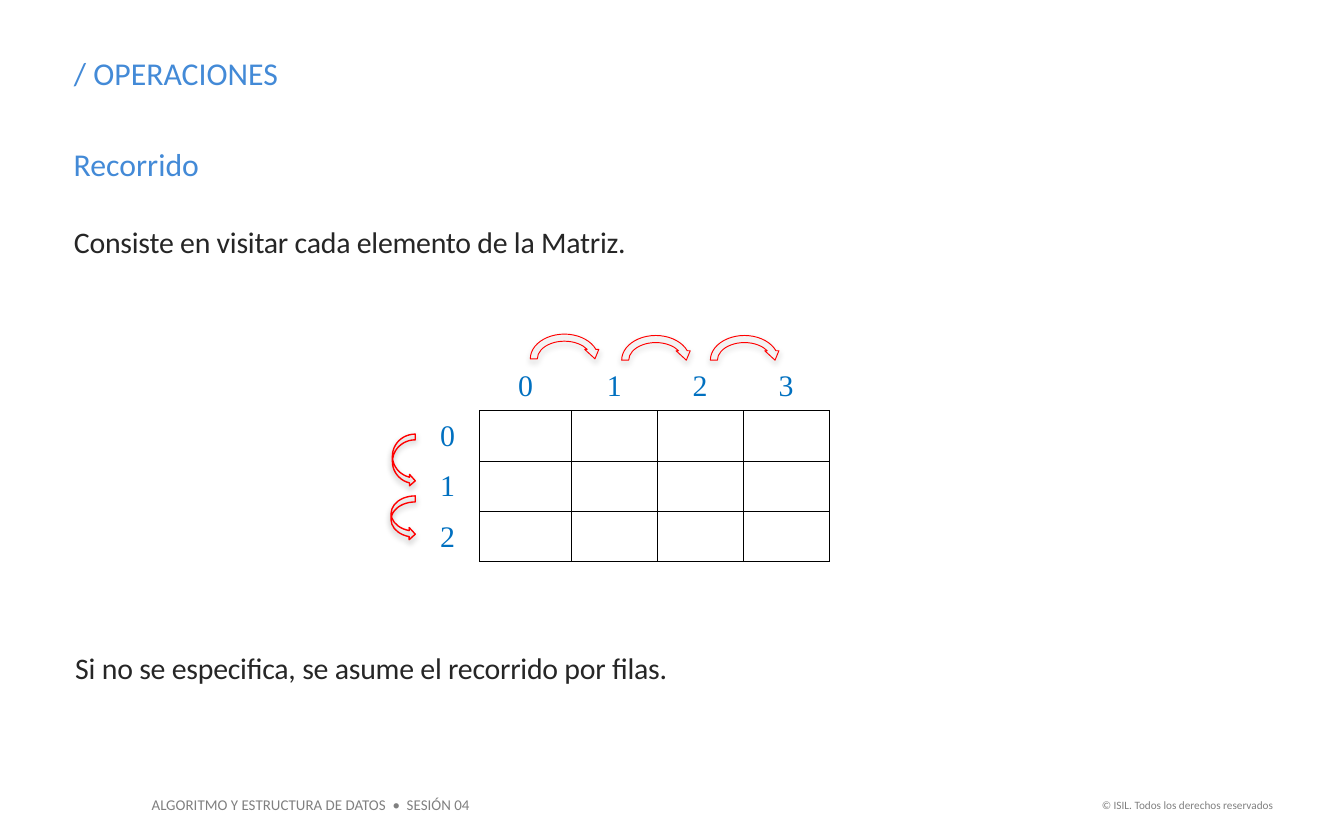
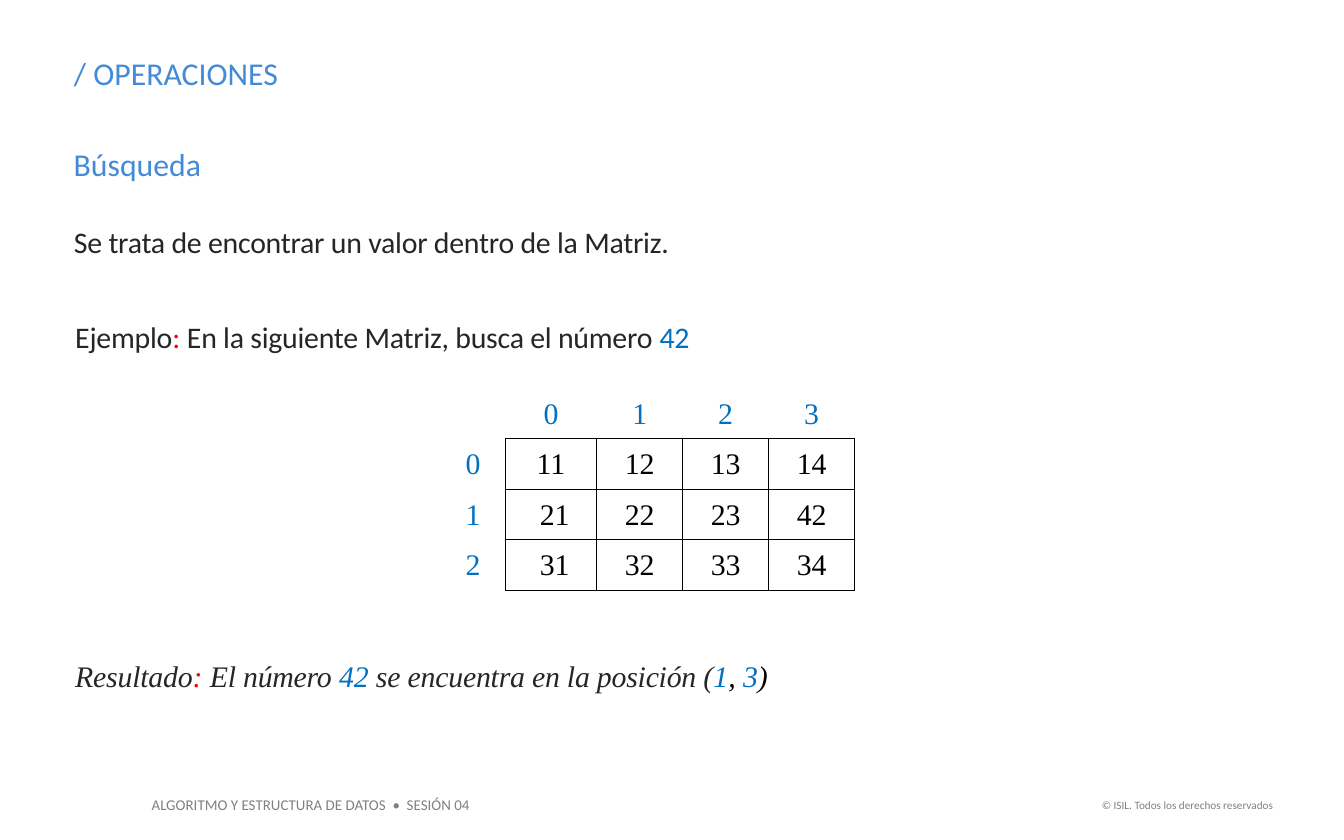
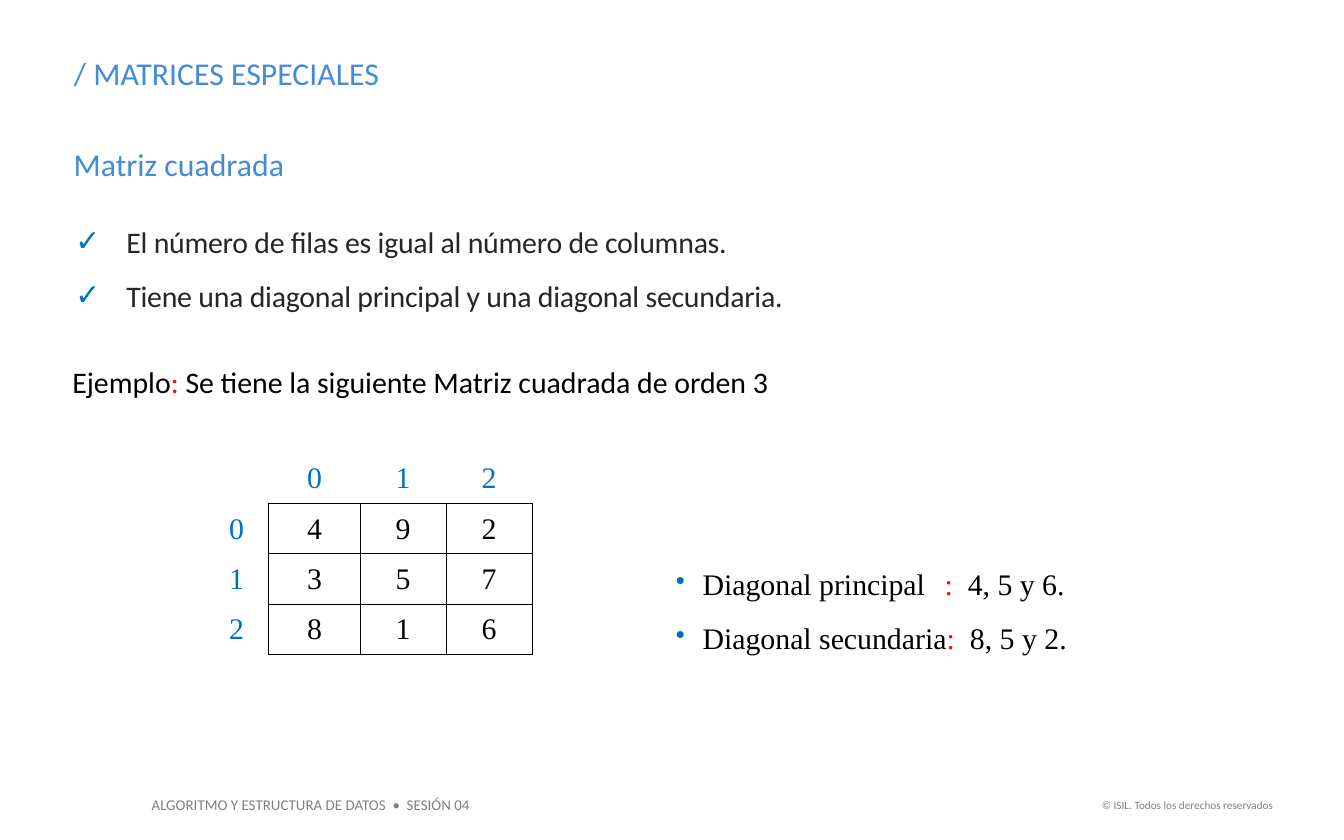
from dataclasses import dataclass

from lxml.etree import SubElement
from pptx import Presentation
from pptx.dml.color import RGBColor
from pptx.enum.shapes import MSO_SHAPE as Preset
from pptx.enum.text import MSO_ANCHOR as Anchor, MSO_AUTO_SIZE as AutoSize, PP_ALIGN as Align
from pptx.oxml import parse_xml
from pptx.oxml.ns import nsdecls, qn
from pptx.util import Inches, Pt


@dataclass(frozen=True)
class Theme:
    """Colours, fonts and type sizes of the lesson."""
    heading: str = "438AD7"
    text: str = "262626"
    black: str = "000000"
    index: str = "0070C0"
    accent: str = "FF0000"
    footer: str = "808080"
    sans: str = "Calibri"
    serif: str = "Times New Roman"
    heading_size: float = 17
    text_size: float = 16
    session_size: float = 8
    rights_size: float = 6
    grid_width: float = 0.5


THEME = Theme()
DEFAULT_INSETS = (0.1, 0.05, 0.1, 0.05)
NO_INSETS = (0, 0, 0, 0)
CELL_INSETS = (0.01, 0.01, 0.01, 0)


def bullet_xml(paragraph, char, percent):
    """Give a paragraph a coloured bullet, or none."""
    props = paragraph._p.get_or_add_pPr()
    if not char:
        SubElement(props, qn("a:buNone"))
        return
    colour = SubElement(props, qn("a:buClr"))
    SubElement(colour, qn("a:srgbClr"), val=THEME.index)
    SubElement(props, qn("a:buSzPct"), val=str(percent * 1000))
    SubElement(props, qn("a:buChar"), char=char)


def write(frame, *paragraphs, size=THEME.text_size, font=THEME.sans, color=THEME.text,
          italic=False, align=Align.LEFT, line_spacing=1.0, spacing=0,
          bullet=None, bullet_percent=100, margin=0, indent=0):
    """Fill a text frame; a paragraph is a string or a list of (text, colour) runs."""
    for number, content in enumerate(paragraphs):
        paragraph = frame.add_paragraph() if number else frame.paragraphs[0]
        bullet_xml(paragraph, bullet, bullet_percent)
        props = paragraph._p.get_or_add_pPr()
        props.set("marL", str(Inches(margin)))
        props.set("indent", str(Inches(indent)))
        paragraph.alignment = align
        paragraph.line_spacing = line_spacing
        paragraph.space_before = Pt(0)
        runs = [(content, color)] if isinstance(content, str) else content
        for text, run_color in runs:
            run = paragraph.add_run()
            run.text = text
            run.font.size = Pt(size)
            run.font.name = font
            run.font.italic = italic
            run.font.color.rgb = RGBColor.from_string(run_color)
            if spacing:
                run._r.get_or_add_rPr().set("spc", str(round(spacing * 100)))


class Lesson:
    """Holds the presentation, its style and the current slide."""

    def __init__(self, theme):
        self.theme = theme
        self.prs = Presentation()
        self.prs.slide_width, self.prs.slide_height = Inches(10), Inches(6.25)
        self.slide = None

    def start(self, title, topic):
        """Add a slide with its title and topic."""
        t = self.theme
        first = self.slide is None
        self.slide = self.prs.slides.add_slide(self.prs.slide_layouts[1])
        if first:
            self.footers()
        heading = dict(size=t.heading_size, color=t.heading)
        self.place(self.slide.shapes.title, (0.45, 0.35, 7.88, 0.39))
        write(self.slide.shapes.title.text_frame, title, **heading)
        self.text((0.45, 1.03, 2.13, 0.39), topic, **heading)

    def footers(self):
        """Put the session and rights lines on the slide master."""
        t = self.theme
        session = self.text((1.03, 5.87, 2.58, 0.24),
                            "ALGORITMO Y ESTRUCTURA DE DATOS  •  SESIÓN 04",
                            wrap=False, size=t.session_size, color=t.footer)
        rights = self.text((8.07, 5.89, 1.5, 0.2), "© ISIL. Todos los derechos reservados",
                           wrap=False, size=t.rights_size, color=t.footer, align=Align.RIGHT)
        for number, line in enumerate((session, rights), start=101):
            line.element.nvSpPr.cNvPr.set("id", str(number))
            self.prs.slide_master.shapes.element.append(line.element)

    def place(self, shape, at, insets=DEFAULT_INSETS, wrap=True):
        """Position a text shape and set up its frame."""
        shape.left, shape.top, shape.width, shape.height = map(Inches, at)
        frame = shape.text_frame
        frame.word_wrap = wrap
        frame.auto_size = AutoSize.SHAPE_TO_FIT_TEXT
        frame.vertical_anchor = Anchor.TOP
        (frame.margin_left, frame.margin_top,
         frame.margin_right, frame.margin_bottom) = map(Inches, insets)

    def text(self, at, *paragraphs, insets=DEFAULT_INSETS, wrap=True, **style):
        box = self.slide.shapes.add_textbox(*map(Inches, at))
        self.place(box, at, insets, wrap)
        write(box.text_frame, *paragraphs, **style)
        return box

    def body(self, at, *paragraphs, **style):
        """Fill the body placeholder."""
        holder = self.slide.placeholders[1]
        self.place(holder, at, NO_INSETS)
        style = dict(margin=0.01, line_spacing=1.5, spacing=-0.1) | style
        write(holder.text_frame, *paragraphs, **style)

    def statement(self, at, content, **style):
        """Add a line of running text set like the body."""
        self.text(at, content, insets=NO_INSETS, margin=0.01,
                  line_spacing=1.5, spacing=-0.1, **style)

    def arrow(self, preset, at, width):
        """Add a red outlined arrow with a soft shadow."""
        arrow = self.slide.shapes.add_shape(preset, *map(Inches, at))
        arrow.fill.background()
        arrow.line.color.rgb = RGBColor.from_string(self.theme.accent)
        arrow.line.width = Pt(width)
        arrow.element.spPr.append(parse_xml(
            f'<a:effectLst {nsdecls("a")}><a:outerShdw blurRad="{Pt(3.1)}" dist="{Pt(1.8)}" '
            f'dir="5400000" rotWithShape="0"><a:srgbClr val="{self.theme.black}">'
            '<a:alpha val="35000"/></a:srgbClr></a:outerShdw></a:effectLst>'))

    def borders(self, cell, sides):
        """Draw the named sides of a cell and clear the others."""
        props = cell._tc.get_or_add_tcPr()
        for position, side in enumerate("LRTB"):
            paint = (f'<a:solidFill><a:srgbClr val="{self.theme.black}"/></a:solidFill>'
                     if side in sides else "<a:noFill/>")
            props.insert(position, parse_xml(
                f'<a:ln{side} {nsdecls("a")} w="{Pt(self.theme.grid_width)}">{paint}</a:ln{side}>'))

    def matrix(self, left, top, values):
        """Draw a matrix with its row and column indices outside the grid."""
        t = self.theme
        columns = len(values[0])
        rows = [["", *map(str, range(columns))]]
        rows += [[str(number), *row] for number, row in enumerate(values)]
        widths = [0.48, 0.68] + [0.64] * (columns - 1)
        row_height = 0.375
        table = self.slide.shapes.add_table(
            len(rows), len(widths), Inches(left), Inches(top),
            Inches(sum(widths)), Inches(row_height * len(rows))).table
        table.first_row = table.horz_banding = False
        for column, width in zip(table.columns, widths):
            column.width = Inches(width)
        for r, row in enumerate(rows):
            table.rows[r].height = Inches(row_height)
            for c, value in enumerate(row):
                cell = table.cell(r, c)
                cell.fill.background()
                cell.vertical_anchor = Anchor.MIDDLE
                (cell.margin_left, cell.margin_top,
                 cell.margin_right, cell.margin_bottom) = map(Inches, CELL_INSETS)
                if value:
                    write(cell.text_frame, value, font=t.serif, align=Align.CENTER,
                          color=t.black if r and c else t.index)
                if r and c:
                    self.borders(cell, "LRTB")
                else:
                    self.borders(cell, "R" if r else "B" if c else "")


def traversal(lesson):
    lesson.start("/ OPERACIONES", "Recorrido")
    lesson.body((0.54, 1.53, 4.44, 0.4), "Consiste en visitar cada elemento de la Matriz.")
    lesson.matrix(3.09, 2.68, [[""] * 4] * 3)
    # Steps across columns, then down rows
    for left, top in ((3.92, 2.46), (4.6, 2.47), (5.26, 2.47)):
        lesson.arrow(Preset.CIRCULAR_ARROW, (left, top, 0.56, 0.42), 0.5)
    for step in ((2.92, 3.23, 0.17, 0.39), (2.91, 3.69, 0.18, 0.33)):
        lesson.arrow(Preset.CURVED_RIGHT_ARROW, step, 0.75)
    lesson.statement((0.55, 4.7, 4.99, 0.4),
                     "Si no se especifica, se asume el recorrido por filas.")


def search(lesson):
    t = lesson.theme
    lesson.start("/ OPERACIONES", "Búsqueda")
    lesson.body((0.54, 1.53, 5.03, 0.4), "Se trata de encontrar un valor dentro de la Matriz.")
    lesson.statement((0.55, 2.24, 5.02, 0.4), [
        ("Ejemplo", t.text), (":", t.accent),
        (" En la siguiente Matriz, busca el número ", t.text), ("42", t.index)])
    lesson.matrix(3.28, 2.89, [["11", "12", "13", "14"],
                               [" 21", "22", "23", "42"],
                               [" 31", "32", "33", "34"]])
    lesson.statement((0.55, 4.76, 5.49, 0.4), [
        ("Resultado", t.text), (":", t.accent), (" El número ", t.text), ("42", t.index),
        (" se encuentra en la posición (", t.text), ("1", t.index), (",", t.black),
        (" 3", t.index), (")", t.black)], font=t.serif, italic=True)


def square_matrix(lesson):
    t = lesson.theme
    lesson.start("/ MATRICES ESPECIALES", "Matriz cuadrada")
    lesson.body((0.54, 1.53, 8.05, 0.81),
                "El número de filas es igual al número de columnas.",
                "Tiene una diagonal principal y una diagonal secundaria.",
                bullet="✓", margin=0.4, indent=-0.38)
    lesson.text((0.44, 2.6, 5.69, 0.45), [
        ("Ejemplo", t.black), (":", t.accent),
        (" Se tiene la siguiente Matriz cuadrada de orden 3", t.black)], line_spacing=1.2)
    lesson.matrix(1.52, 3.37, ["492", "357", "816"])
    # Diagonals of the matrix
    diagonals = (("Diagonal principal\t", "4, 5 y 6."), ("Diagonal secundaria", "8, 5 y 2."))
    lesson.text((4.93, 4.03, 3.35, 0.95),
                *([(name, t.black), (":  ", t.accent), (members, t.black)]
                  for name, members in diagonals),
                font=t.serif, line_spacing=1.5, bullet="•", bullet_percent=90,
                margin=0.2, indent=-0.2)


def main():
    lesson = Lesson(THEME)
    for build in (traversal, search, square_matrix):
        build(lesson)
    lesson.prs.save("out.pptx")


if __name__ == "__main__":
    main()
